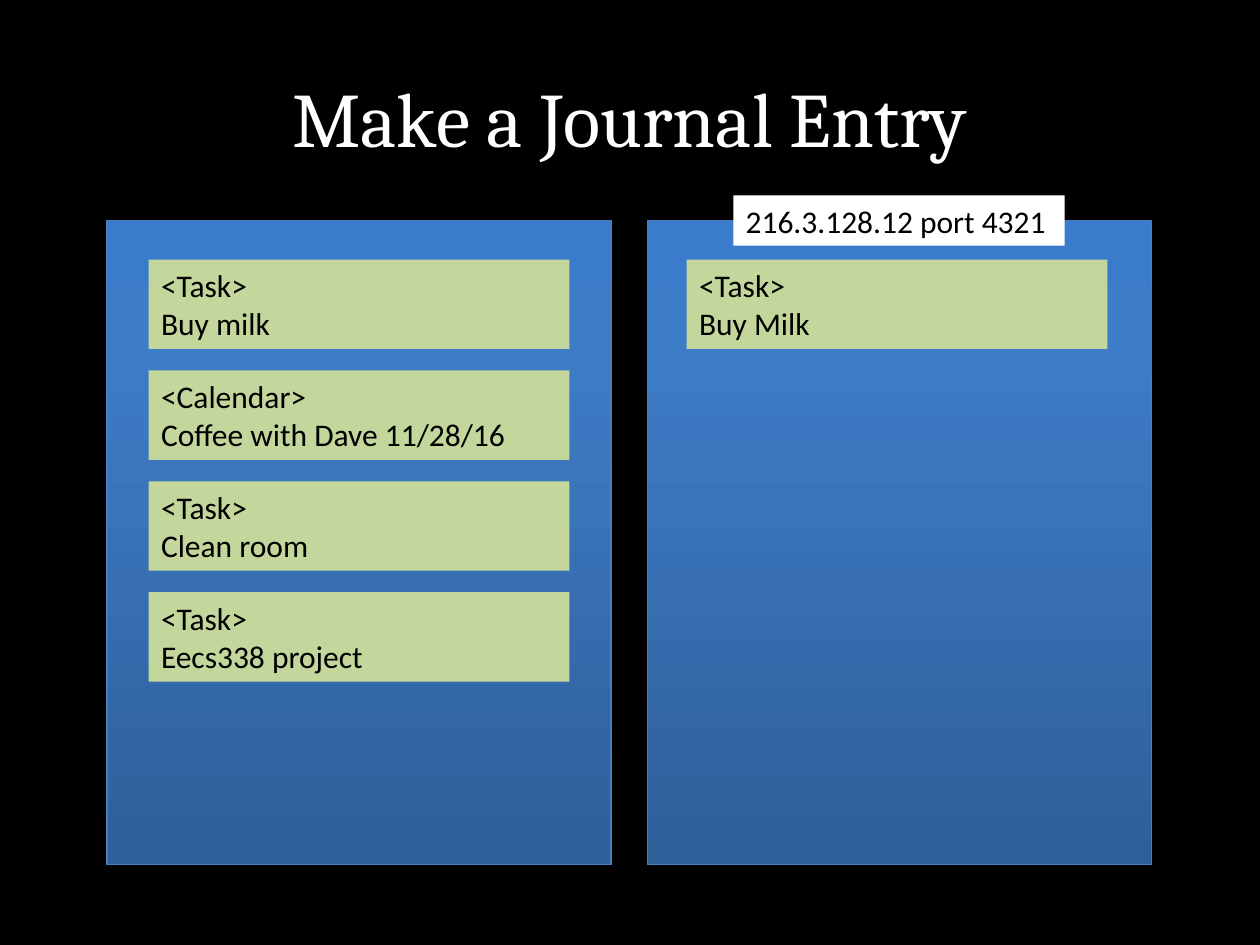
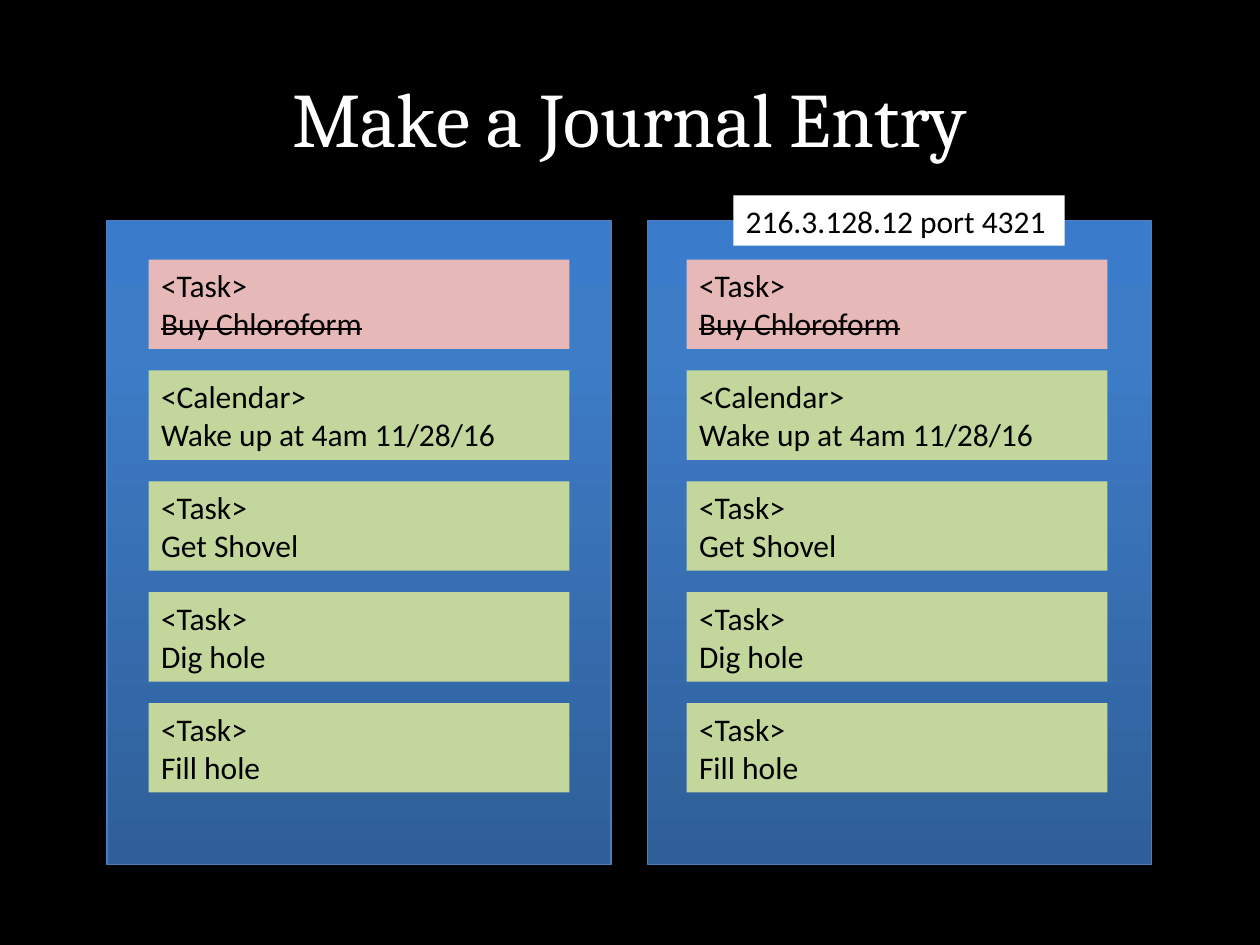
from copy import deepcopy

from pptx import Presentation
from pptx.dml.color import RGBColor
from pptx.enum.shapes import MSO_SHAPE
from pptx.enum.text import MSO_ANCHOR, MSO_AUTO_SIZE, PP_ALIGN
from pptx.oxml.ns import qn
from pptx.util import Inches, Pt

RECTANGLE = MSO_SHAPE.RECTANGLE
LEFT, CENTER = PP_ALIGN.LEFT, PP_ALIGN.CENTER
MIDDLE = MSO_ANCHOR.MIDDLE
GROW = MSO_AUTO_SIZE.SHAPE_TO_FIT_TEXT

TITLE = "Make a Journal Entry"
ADDRESS = "216.3.128.12 port 4321"

# Each entry: kind, description, whether it is struck out
EVENING_ENTRIES = [
    ("<Task>", "Buy Chloroform", True),
    ("<Calendar>", "Wake up at 4am 11/28/16", False),
    ("<Task>", "Get Shovel", False),
    ("<Task>", "Dig hole", False),
    ("<Task>", "Fill hole", False),
]

# Each slide: entries of the local journal, entries of the remote journal
SLIDES = [
    (
        [
            ("<Task>", "Buy milk", False),
            ("<Calendar>", "Coffee with Dave 11/28/16", False),
            ("<Task>", "Clean room", False),
            ("<Task>", "Eecs338 project", False),
        ],
        [("<Task>", "Buy Milk", False)],
    ),
    (EVENING_ENTRIES, EVENING_ENTRIES),
]

BLACK, WHITE = "000000", "FFFFFF"
ACTIVE, STRUCK = "C3D69B", "E6B9B8"
PANEL_LINE = "4B7EBC"
PANEL_STOPS = [(0, "2F5F99"), (0.8, "3D7CC7"), (1, "3A7CCB")]
TITLE_FONT, BODY_FONT = "Cambria", "Calibri"

PANEL_LEFTS, ENTRY_LEFTS = (0.85, 5.14), (1.18, 5.45)
PANEL_TOP, PANEL_WIDTH, PANEL_HEIGHT = 1.75, 4, 5.11
ENTRY_TOP, ENTRY_PITCH = 2.06, 0.88
ENTRY_WIDTH, ENTRY_HEIGHT = 3.34, 0.71


def color(hex_string):
    return RGBColor.from_string(hex_string)


def set_font(paragraph, name, size, hex_string):
    paragraph.font.name = name
    paragraph.font.size = Pt(size)
    paragraph.font.color.rgb = color(hex_string)


def add_rectangle(slide, left, top, width, height):
    shape = slide.shapes.add_shape(
        RECTANGLE, Inches(left), Inches(top), Inches(width), Inches(height)
    )
    shape.shadow.inherit = False
    return shape


def add_title(slide):
    box = slide.shapes.add_textbox(Inches(0.5), Inches(0.3), Inches(9), Inches(1.25))
    frame = box.text_frame
    frame.word_wrap = True
    frame.vertical_anchor = MIDDLE
    frame.text = TITLE
    paragraph = frame.paragraphs[0]
    paragraph.alignment = CENTER
    set_font(paragraph, TITLE_FONT, 44, WHITE)


def add_panel(slide, left):
    panel = add_rectangle(slide, left, PANEL_TOP, PANEL_WIDTH, PANEL_HEIGHT)
    panel.line.color.rgb = color(PANEL_LINE)
    panel.line.width = Pt(0.75)
    panel.fill.gradient()
    panel.fill.gradient_angle = 90
    # A new gradient has two stops; the panel needs a third
    stop_list = next(panel.element.iter(qn("a:gsLst")))
    stop_list.append(deepcopy(stop_list[-1]))
    for stop, (position, hex_string) in zip(panel.fill.gradient_stops, PANEL_STOPS):
        stop.position = position
        stop.color.rgb = color(hex_string)


def add_label(slide, left, top, width, height, lines, fill):
    label = add_rectangle(slide, left, top, width, height)
    label.fill.solid()
    label.fill.fore_color.rgb = color(fill)
    label.line.fill.background()
    frame = label.text_frame
    frame.word_wrap = True
    frame.auto_size = GROW
    frame.text = "\n".join(lines)
    for paragraph in frame.paragraphs:
        paragraph.alignment = LEFT
        set_font(paragraph, BODY_FONT, 18, BLACK)
    return label


def add_entries(slide, left, entries):
    for row, (kind, description, struck) in enumerate(entries):
        label = add_label(
            slide, left, ENTRY_TOP + row * ENTRY_PITCH, ENTRY_WIDTH, ENTRY_HEIGHT,
            (kind, description), STRUCK if struck else ACTIVE,
        )
        if struck:
            run = label.text_frame.paragraphs[1].runs[0]
            run.font._element.set("strike", "sngStrike")


def add_journal_slide(presentation, journals):
    slide = presentation.slides.add_slide(presentation.slide_layouts[6])
    slide.background.fill.solid()
    slide.background.fill.fore_color.rgb = color(BLACK)
    add_title(slide)
    for left in PANEL_LEFTS:
        add_panel(slide, left)
    add_label(slide, 5.82, 1.55, 2.63, 0.4, [ADDRESS], WHITE)
    for left, entries in zip(ENTRY_LEFTS, journals):
        add_entries(slide, left, entries)


def main():
    presentation = Presentation()
    presentation.slide_width = Inches(10)
    presentation.slide_height = Inches(7.5)
    for journals in SLIDES:
        add_journal_slide(presentation, journals)
    presentation.save("out.pptx")


if __name__ == "__main__":
    main()
